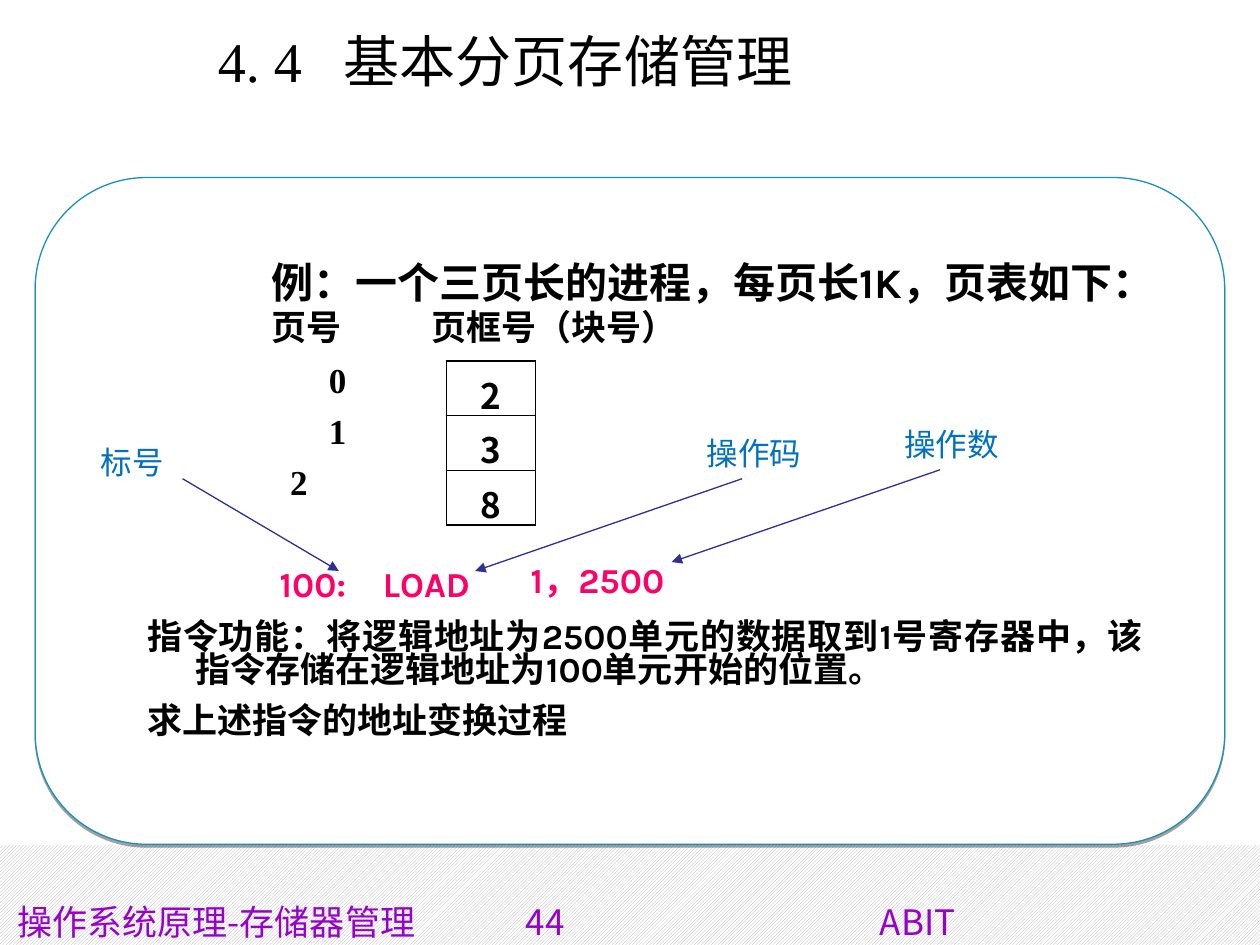
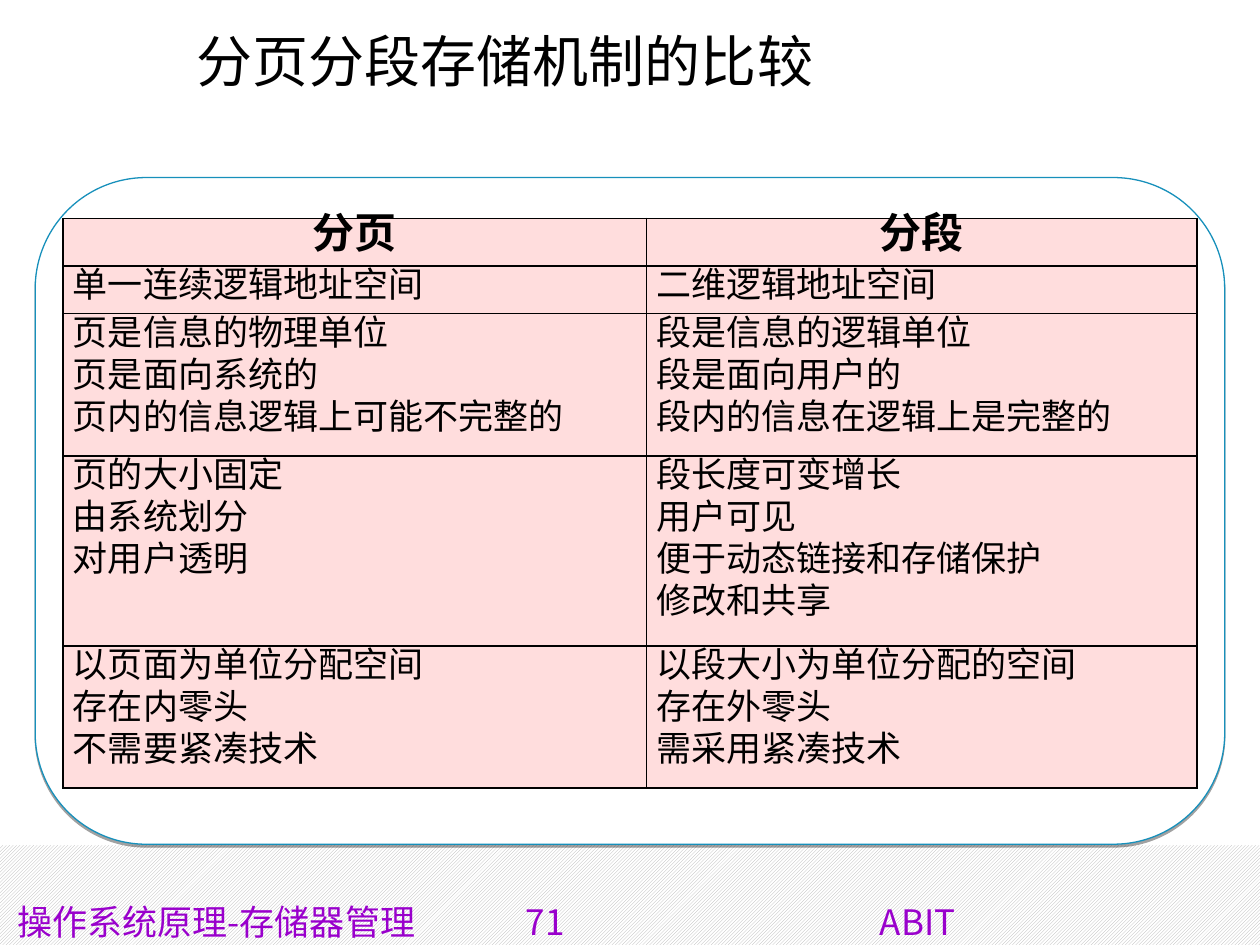
from lxml.etree import SubElement
from pptx import Presentation
from pptx.dml.color import RGBColor
from pptx.enum.dml import MSO_PATTERN
from pptx.enum.shapes import MSO_CONNECTOR, MSO_SHAPE
from pptx.enum.text import PP_ALIGN
from pptx.oxml.ns import qn
from pptx.util import Cm, Pt

BLACK = RGBColor(0, 0, 0)
WHITE = RGBColor(255, 255, 255)
PURPLE = RGBColor(0x99, 0x00, 0xCC)
PINK = RGBColor(0xFF, 0x00, 0x66)
ROSE = RGBColor(0xFF, 0xDD, 0xDD)
LABEL_BLUE = RGBColor(0x00, 0x70, 0xC0)
ARROW_BLUE = RGBColor(0x2F, 0x2F, 0x98)
PANEL_BLUE = RGBColor(0x17, 0x90, 0xBB)
STRIPE_GREY = RGBColor(0xB2, 0xB2, 0xB2)

TIMES, KARLA = "Times New Roman", "Karla"
NOTO_SC, NOTO_KR = "Noto Sans CJK SC", "Noto Sans CJK KR"

TITLE = {"size": Pt(32), "name": TIMES, "color": BLACK}
FOOTER = {"size": Pt(20), "name": NOTO_SC, "color": PURPLE}
LABEL = {"size": Pt(18), "name": NOTO_KR, "color": LABEL_BLUE}
BODY = {"size": Pt(20), "name": TIMES, "color": BLACK, "bold": True}
LATIN_BODY = {**BODY, "name": KARLA}
LEAD = {**LATIN_BODY, "size": Pt(24)}
CODE = {**LATIN_BODY, "color": PINK}
FRAME = {**BODY, "name": NOTO_KR}
HEADER = {**BODY, "size": Pt(24)}
PLAIN = {**BODY, "bold": False}


def add_element(parent, tag, **values):
    return SubElement(parent, qn(tag), {key: str(value) for key, value in values.items()})


def add_para(frame, text, style, layout=None, hanging=0):
    para = frame.paragraphs[0]
    if para.runs:
        para = frame.add_paragraph()
    for key, value in (layout or {}).items():
        setattr(para, key, value)
    if hanging:
        properties = para._p.get_or_add_pPr()
        properties.set("marL", str(Cm(hanging)))
        properties.set("indent", str(Cm(-hanging)))
    span = para.add_run()
    span.text = text
    for key, value in style.items():
        if key == "color":
            span.font.color.rgb = value
        else:
            setattr(span.font, key, value)
    add_element(span.font._element, "a:ea", typeface=NOTO_SC)


def add_box(page, left, top, width, height):
    box = page.shapes.add_textbox(Cm(left), Cm(top), Cm(width), Cm(height))
    box.text_frame.word_wrap = True
    return box.text_frame


def add_line(page, text, style, left, top, width):
    add_para(add_box(page, left, top, width, 1.02), text, style)


def add_band(page):
    band = page.shapes.add_shape(MSO_SHAPE.RECTANGLE, 0, Cm(17.04), Cm(25.4), Cm(2.01))
    band.shadow.inherit = False
    band.line.fill.background()
    band.fill.patterned()
    band.fill.pattern = MSO_PATTERN.DARK_UPWARD_DIAGONAL
    band.fill.fore_color.rgb = STRIPE_GREY
    band.fill.back_color.rgb = WHITE


def add_panel(page):
    panel = page.shapes.add_shape(
        MSO_SHAPE.ROUNDED_RECTANGLE, Cm(0.71), Cm(3.58), Cm(23.98), Cm(13.44))
    panel.fill.solid()
    panel.fill.fore_color.rgb = WHITE
    panel.line.color.rgb = PANEL_BLUE
    panel.line.width = Pt(0.75)
    panel.shadow.inherit = False
    effects = panel._element.spPr.find(qn("a:effectLst"))
    shadow = add_element(effects, "a:outerShdw", blurRad=0, dist=Pt(1.6), dir=90 * 60000,
                         algn="t", rotWithShape=0)
    add_element(add_element(shadow, "a:srgbClr", val="000000"), "a:alpha", val=37000)


def add_page(deck, title, number):
    page = deck.slides.add_slide(deck.slide_layouts[6])
    add_band(page)
    add_panel(page)
    for text, left, width in (("操作系统原理-存储器管理", 0.1, 10),
                              (str(number), 10.35, 3), ("ABIT", 17.49, 5)):
        add_line(page, text, FOOTER, left, 18.03, width)
    add_para(add_box(page, 1.27, 0.41, 17.83, 3.15), title, TITLE,
             {"alignment": PP_ALIGN.CENTER})
    return page


def add_arrow(page, start, end):
    arrow = page.shapes.add_connector(
        MSO_CONNECTOR.STRAIGHT, *[Cm(value) for value in start + end])
    arrow.line.color.rgb = ARROW_BLUE
    arrow.line.width = Pt(0.75)
    add_element(arrow.line._get_or_add_ln(), "a:tailEnd", type="triangle")
    add_element(arrow._element.spPr, "a:effectLst")


def add_label(page, text, left, top, width, start, end):
    add_line(page, text, LABEL, left, top, width)
    add_arrow(page, start, end)


def add_grid(page, left, top, widths, heights):
    grid = page.shapes.add_table(len(heights), len(widths), Cm(left), Cm(top),
                                 Cm(sum(widths)), Cm(sum(heights))).table
    grid.first_row = grid.horz_banding = False
    for column, width in zip(grid.columns, widths):
        column.width = Cm(width)
    for row, height in zip(grid.rows, heights):
        row.height = Cm(height)
    return grid


def fill_cell(cell, lines, style, fill, margins, layout):
    for side, margin in zip(("left", "top", "right", "bottom"), margins):
        setattr(cell, f"margin_{side}", Cm(margin))
    for line in lines:
        add_para(cell.text_frame, line, style, layout)
    properties = cell._tc.get_or_add_tcPr()
    for side in ("a:lnL", "a:lnR", "a:lnT", "a:lnB"):
        border = add_element(properties, side, w=Pt(1))
        add_element(add_element(border, "a:solidFill"), "a:srgbClr", val=str(BLACK))
    cell.fill.solid()
    cell.fill.fore_color.rgb = fill


def add_example(page):
    add_line(page, "例：一个三页长的进程，每页长1K，页表如下：", LEAD, 5.23, 5.04, 18.9)
    add_line(page, "页号", BODY, 5.23, 6.03, 3)
    add_line(page, "页框号（块号）", BODY, 8.44, 6.03, 6)
    for number, left in enumerate((6.38, 6.38, 5.6)):
        add_line(page, str(number), BODY, left, 7.1 + 1.03 * number, 1.2)
    for text, left, top, width in (("100:", 5.39, 11.21, 2.1), ("LOAD", 7.47, 11.21, 2.9),
                                   ("1，2500", 10.45, 11.14, 5)):
        add_line(page, text, CODE, left, top, width)
    task = add_box(page, 2.72, 12.44, 20.57, 2.7)
    for text, before in (
            ("指令功能：将逻辑地址为2500单元的数据取到1号寄存器中，该指令存储在逻辑地址为100单元开始的位置。", 0),
            ("求上述指令的地址变换过程", 10.8)):
        add_para(task, text, LATIN_BODY,
                 {"alignment": PP_ALIGN.JUSTIFY, "line_spacing": Pt(18.8),
                  "space_before": Pt(before)}, hanging=0.97)


def add_page_table(page):
    grid = add_grid(page, 9, 7.28, [1.8], [1.1] * 3)
    for cell, block in zip(grid.iter_cells(), "238"):
        fill_cell(cell, [block], FRAME, WHITE, (0.25, 0.15, 0.25, 0),
                  {"alignment": PP_ALIGN.CENTER})


def add_comparison(page):
    rows = [
        (["分页"], ["分段"]),
        (["单一连续逻辑地址空间"], ["二维逻辑地址空间"]),
        (["页是信息的物理单位", "页是面向系统的", "页内的信息逻辑上可能不完整的"],
         ["段是信息的逻辑单位", "段是面向用户的", "段内的信息在逻辑上是完整的"]),
        (["页的大小固定", "由系统划分", "对用户透明"],
         ["段长度可变增长", "用户可见", "便于动态链接和存储保护", "修改和共享"]),
        (["以页面为单位分配空间", "存在内零头", "不需要紧凑技术"],
         ["以段大小为单位分配的空间", "存在外零头", "需采用紧凑技术"]),
    ]
    grid = add_grid(page, 1.27, 4.4, [11.76, 11.1], [0.96, 0.96, 2.87, 3.83, 2.87])
    for index, row in enumerate(rows):
        style, align = (PLAIN, PP_ALIGN.LEFT) if index else (HEADER, PP_ALIGN.CENTER)
        for column, lines in enumerate(row):
            fill_cell(grid.cell(index, column), lines, style, ROSE, (0.2, 0, 0.2, 0),
                      {"alignment": align, "line_spacing": Pt(24)})


def main():
    deck = Presentation()
    deck.slide_width, deck.slide_height = Cm(25.4), Cm(19.05)

    page = add_page(deck, "4. 4\t基本分页存储管理", 44)
    add_example(page)
    add_label(page, "标号", 1.78, 8.81, 1.93, (3.68, 9.65), (6.83, 11.51))
    add_label(page, "操作数", 17.98, 8.44, 2.59, (18.95, 9.47), (13.54, 11.33))
    add_label(page, "操作码", 14, 8.62, 2.59, (14.96, 9.65), (9.58, 11.51))
    add_page_table(page)

    add_comparison(add_page(deck, "分页分段存储机制的比较", 71))
    deck.save("out.pptx")


if __name__ == "__main__":
    main()
